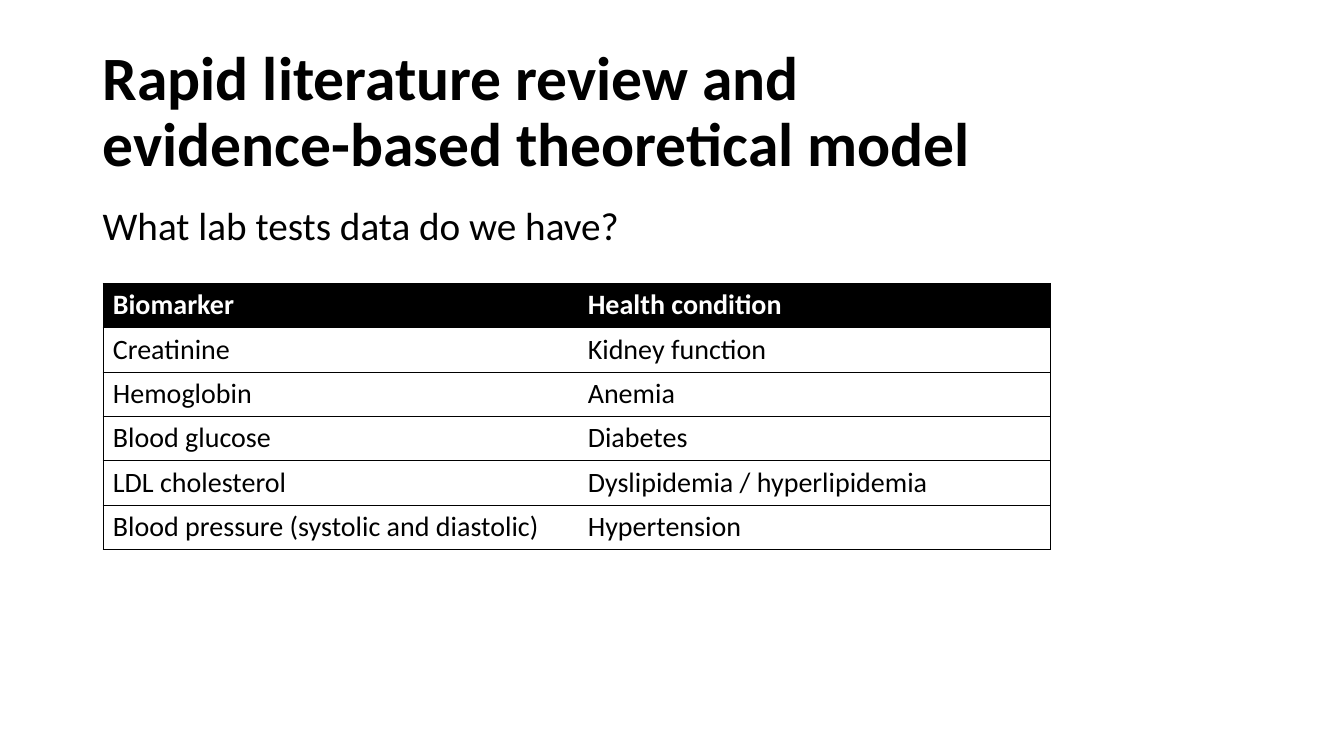
from lxml.etree import SubElement
from pptx import Presentation
from pptx.dml.color import RGBColor
from pptx.enum.text import MSO_ANCHOR, PP_ALIGN
from pptx.oxml.ns import qn
from pptx.util import Inches, Pt

TITLE = "Rapid literature review and \vevidence-based theoretical model"
QUESTION = "What lab tests data do we have?"
ROWS = [
    ("Biomarker", "Health condition"),
    ("Creatinine", "Kidney function"),
    ("Hemoglobin", "Anemia"),
    ("Blood glucose", "Diabetes"),
    ("LDL cholesterol", "Dyslipidemia / hyperlipidemia"),
    ("Blood pressure (systolic and diastolic)", "Hypertension"),
]
COLUMN_WIDTHS = (4.71, 4.69)
ROW_HEIGHT = 0.44

FONT = "Calibri"
BLACK = RGBColor(0x00, 0x00, 0x00)
WHITE = RGBColor(0xFF, 0xFF, 0xFF)


def format_paragraph(paragraph, size, color=BLACK, bold=False):
    paragraph.alignment = PP_ALIGN.LEFT
    font = paragraph.font
    font.name, font.size, font.bold = FONT, Pt(size), bold
    font.color.rgb = color


def set_borders(cell, visible_sides):
    """Draw a thin black line on the given sides (L, R, T, B), none elsewhere."""
    properties = cell._tc.get_or_add_tcPr()
    for side in "LRTB":
        line = SubElement(properties, qn(f"a:ln{side}"), w=str(Pt(0.5)))
        if side in visible_sides:
            fill = SubElement(line, qn("a:solidFill"))
            SubElement(fill, qn("a:srgbClr"), val=str(BLACK))
        else:
            SubElement(line, qn("a:noFill"))


def add_headings(slide):
    title = slide.shapes.title
    title.left, title.top = Inches(0.92), Inches(0.4)
    title.width, title.height = Inches(11.5), Inches(1.45)
    question = slide.shapes.add_textbox(
        Inches(0.92), Inches(2), Inches(11.5), Inches(0.67))

    for shape, text, size, bold, anchor in (
        (title, TITLE, 44, True, MSO_ANCHOR.MIDDLE),
        (question, QUESTION, 28, False, MSO_ANCHOR.TOP),
    ):
        frame = shape.text_frame
        frame.word_wrap = True
        frame.vertical_anchor = anchor
        frame.text = text
        paragraph = frame.paragraphs[0]
        paragraph.line_spacing = 0.9
        format_paragraph(paragraph, size, bold=bold)
    question.text_frame.paragraphs[0].space_before = Pt(10)


def add_biomarker_table(slide):
    table = slide.shapes.add_table(
        len(ROWS), len(COLUMN_WIDTHS), Inches(1.02), Inches(2.81),
        Inches(sum(COLUMN_WIDTHS)), Inches(ROW_HEIGHT * len(ROWS))).table
    table.horz_banding = False
    for column, width in zip(table.columns, COLUMN_WIDTHS):
        column.width = Inches(width)

    for row_index, row in enumerate(ROWS):
        table.rows[row_index].height = Inches(ROW_HEIGHT)
        is_header = row_index == 0
        for column_index, text in enumerate(row):
            cell = table.cell(row_index, column_index)
            cell.text = text
            set_borders(cell, "LTB" if column_index == 0 else "RTB")
            cell.fill.solid()
            cell.fill.fore_color.rgb = BLACK if is_header else WHITE
            format_paragraph(cell.text_frame.paragraphs[0], 20,
                             WHITE if is_header else BLACK, is_header)


def main():
    presentation = Presentation()
    presentation.slide_width = Inches(13.33)
    presentation.slide_height = Inches(7.5)
    slide = presentation.slides.add_slide(presentation.slide_layouts[5])
    add_headings(slide)
    add_biomarker_table(slide)
    presentation.save("out.pptx")


if __name__ == "__main__":
    main()
